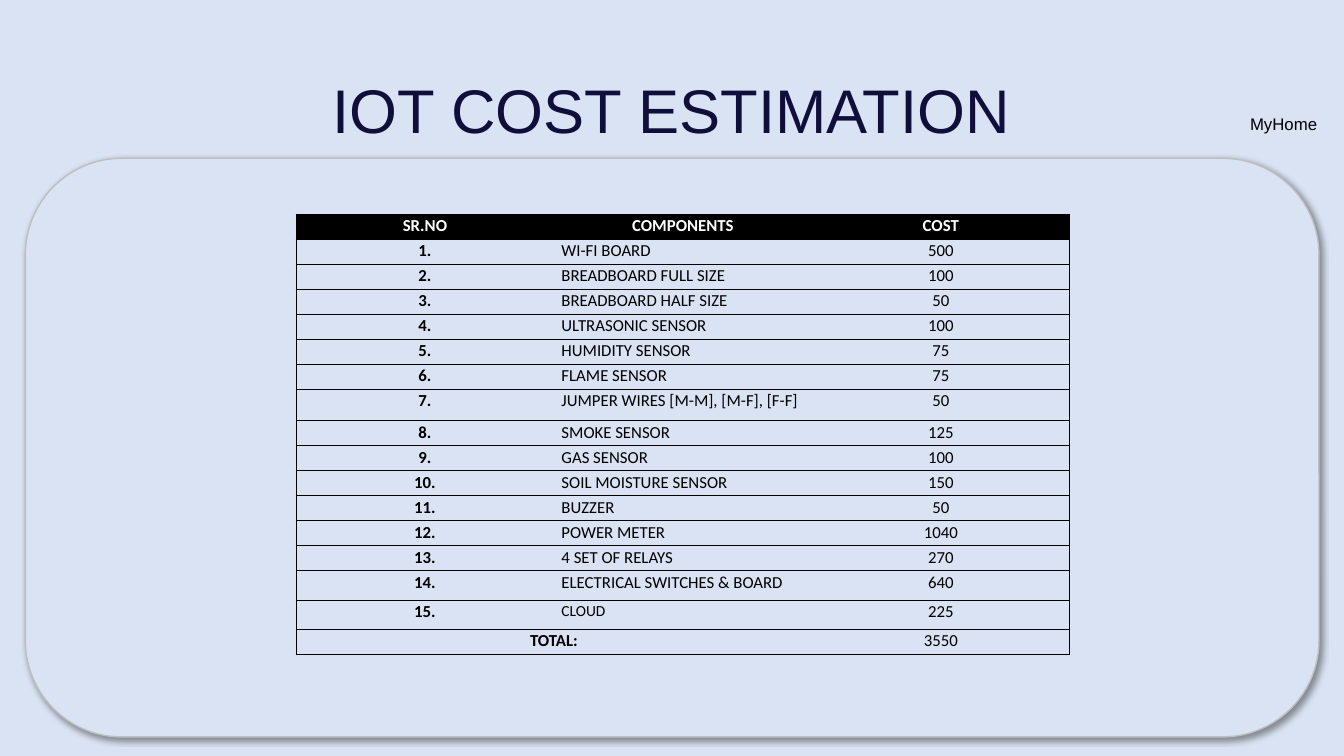
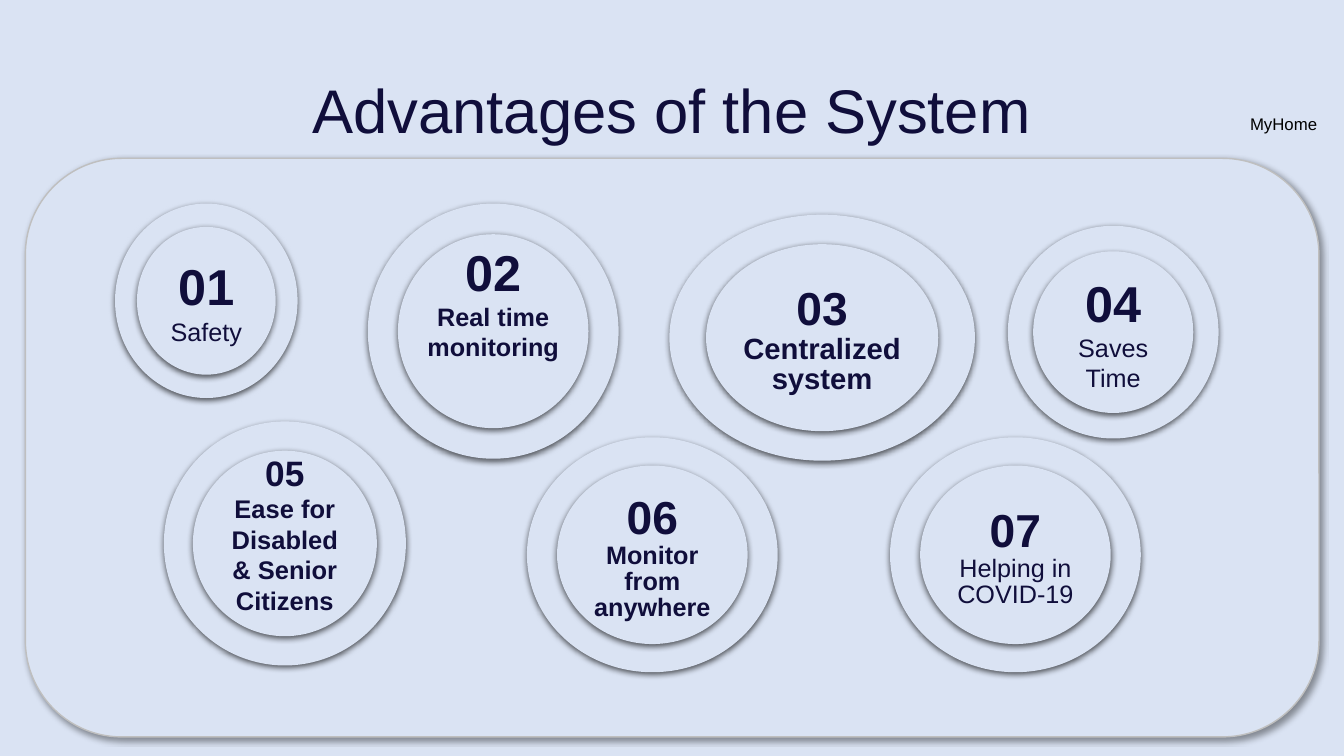
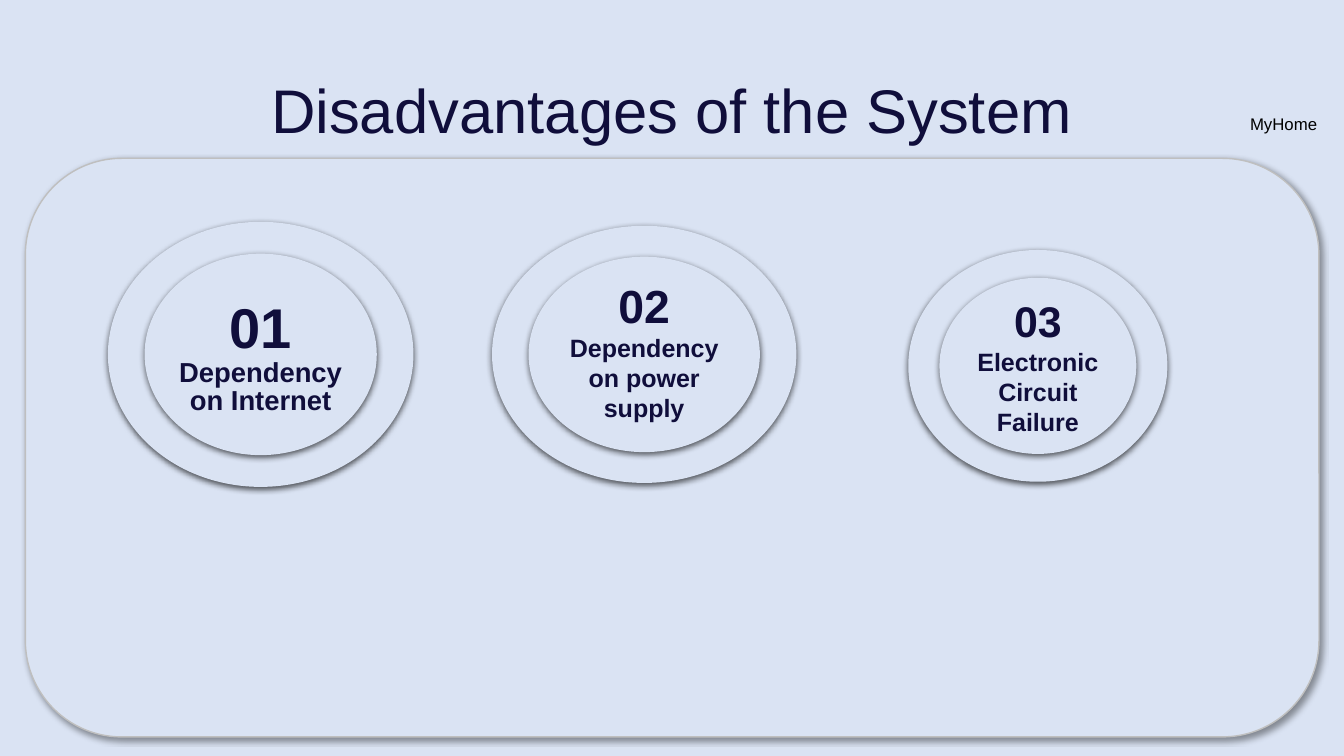
import pptx
import pptx.util
import pptx.dml.color
import pptx.enum.shapes
import pptx.enum.text
import pptx.oxml
import pptx.oxml.ns
from pptx.util import Cm

PALE = pptx.dml.color.RGBColor(0xDA, 0xE3, 0xF3)
NAVY = pptx.dml.color.RGBColor(0x10, 0x0E, 0x3B)
GREY = pptx.dml.color.RGBColor(0xBF, 0xBF, 0xBF)
BLACK = pptx.dml.color.RGBColor(0x00, 0x00, 0x00)
WHITE = pptx.dml.color.RGBColor(0xFF, 0xFF, 0xFF)
SHAPES = pptx.enum.shapes.MSO_SHAPE
ALIGN = pptx.enum.text.PP_ALIGN
MIDDLE = pptx.enum.text.MSO_ANCHOR.MIDDLE
DRAWING = pptx.oxml.ns.nsdecls("a")
RING_RATIO = 0.76


def write(frame, text, size=12, color=NAVY, bold=False, font="Arial", align=ALIGN.CENTER, spacing=None):
    paragraph = frame.add_paragraph() if frame.text else frame.paragraphs[0]
    paragraph.alignment = align
    paragraph.line_spacing = spacing
    run = paragraph.add_run()
    run.text = text
    run.font.size = pptx.util.Pt(size)
    run.font.name = font
    run.font.bold = bold
    run.font.color.rgb = color


def add_raised(slide, kind, left, top, width, height, blur=4.5, distance=1.5, angle=90, opacity=63):
    raised = slide.shapes.add_shape(kind, Cm(left), Cm(top), Cm(width), Cm(height))
    raised.fill.solid()
    raised.fill.fore_color.rgb = PALE
    raised.line.fill.background()
    raised.shadow.inherit = False
    effects = raised._element.spPr.find(pptx.oxml.ns.qn("a:effectLst"))
    effects.append(pptx.oxml.parse_xml(
        f'<a:outerShdw {DRAWING} blurRad="{pptx.util.Pt(blur)}" dist="{pptx.util.Pt(distance)}" '
        f'dir="{angle * 60000}" algn="ctr" rotWithShape="0"><a:srgbClr val="{BLACK}">'
        f'<a:alpha val="{opacity * 1000}"/></a:srgbClr></a:outerShdw>'))
    return raised


deck = pptx.Presentation()
deck.slide_width = Cm(33.87)
deck.slide_height = Cm(19.05)
deck.slide_master.background.fill.solid()
deck.slide_master.background.fill.fore_color.rgb = PALE
title_only = deck.slide_layouts[5]

slides = []
for heading in ("IOT COST ESTIMATION", "Advantages of the System", "Disadvantages of the System"):
    slide = deck.slides.add_slide(title_only)
    title = slide.shapes.title
    title.left, title.top, title.width, title.height = Cm(2.33), Cm(1.02), Cm(29.21), Cm(3.68)
    title.text_frame.vertical_anchor = MIDDLE
    write(title.text_frame, heading, size=44, spacing=0.9)
    panel = add_raised(slide, SHAPES.ROUNDED_RECTANGLE, 0.64, 3.99, 32.6, 14.58,
                       blur=4, distance=3, angle=45, opacity=40)
    panel.line.color.rgb = GREY
    panel.line.width = pptx.util.Pt(1)
    slide.shapes._spTree.insert(2, panel._element)
    project = slide.shapes.add_textbox(Cm(30.84), Cm(2.74), Cm(3.02), Cm(0.77))
    project.text_frame.word_wrap = True
    write(project.text_frame, "MyHome", color=BLACK)
    slides.append(slide)

cost_slide, advantages_slide, disadvantages_slide = slides

components = [
    ("WI-FI BOARD", 500),
    ("BREADBOARD FULL SIZE", 100),
    ("BREADBOARD HALF SIZE", 50),
    ("ULTRASONIC SENSOR", 100),
    ("HUMIDITY SENSOR", 75),
    ("FLAME SENSOR", 75),
    ("JUMPER WIRES [M-M], [M-F], [F-F]", 50),
    ("SMOKE SENSOR", 125),
    ("GAS SENSOR", 100),
    ("SOIL MOISTURE SENSOR", 150),
    ("BUZZER", 50),
    ("POWER METER", 1040),
    ("4 SET OF RELAYS", 270),
    ("ELECTRICAL SWITCHES & BOARD", 640),
    ("CLOUD", 225),
]
cost_rows = [("SR.NO", "COMPONENTS", "COST")]
cost_rows += [(f"{number}.", name, str(cost)) for number, (name, cost) in enumerate(components, 1)]
cost_rows.append(("TOTAL:", "", str(sum(cost for name, cost in components))))
tall_rows = {7: 0.8, 14: 0.74, 15: 0.74}

costs = cost_slide.shapes.add_table(len(cost_rows), 3, Cm(7.46), Cm(5.39), Cm(19.5), Cm(11.13)).table
costs.horz_banding = False
for column in costs.columns:
    column.width = Cm(6.5)
costs.cell(len(cost_rows) - 1, 0).merge(costs.cell(len(cost_rows) - 1, 1))
for row, entries in enumerate(cost_rows):
    costs.rows[row].height = Cm(tall_rows.get(row, 0.63))
    header = row == 0
    for column, entry in enumerate(entries):
        cell = costs.cell(row, column)
        cell.margin_left = cell.margin_right = Cm(0.19)
        cell.margin_top = cell.margin_bottom = 0
        for side, drawn in (("L", column == 0), ("R", column == 2), ("T", True), ("B", True)):
            paint = f'<a:solidFill><a:srgbClr val="{BLACK}"/></a:solidFill>' if drawn else "<a:noFill/>"
            cell._tc.get_or_add_tcPr().append(pptx.oxml.parse_xml(
                f'<a:ln{side} {DRAWING} w="{pptx.util.Pt(0.5)}">{paint}</a:ln{side}>'))
        if header:
            cell.fill.solid()
            cell.fill.fore_color.rgb = BLACK
        else:
            cell.fill.background()
        if entry:
            write(cell.text_frame, entry, size=11 if entry == "CLOUD" else 12, font="Calibri",
                  color=WHITE if header else BLACK, bold=header or column == 0, spacing=1.07,
                  align=ALIGN.LEFT if column == 1 and not header else ALIGN.CENTER)

advantages = [
    ("Safety", 2.9, 5.13, 4.6, 4.9, 36, 18, False, None, 0),
    ("Real time monitoring", 9.27, 5.13, 6.32, 6.43, 36, 18, True, None, 1.5),
    ("Centralized system", 16.87, 5.41, 7.7, 6.2, 33, 20.9, True, 0.86, 0),
    ("Saves Time", 25.4, 5.69, 5.31, 5.36, 36, 18, False, None, 0),
    ("Ease for Disabled & Senior Citizens", 4.13, 10.62, 6.1, 6.15, 25.2, 18.2, True, None, 0.51),
    ("Monitor from anywhere", 13.28, 11.02, 6.32, 5.92, 33, 18, True, 0.86, 0),
    ("Helping in COVID-19", 22.43, 11.02, 6.32, 5.92, 33, 18, False, 0.86, 0),
]
disadvantages = [
    ("Dependency on Internet", 2.72, 5.59, 7.7, 6.68, 40, 19.6, True, 0.86, 0),
    ("Dependency on power supply", 12.4, 5.69, 7.67, 6.48, 33.1, 17.9, True, None, 0.24),
    ("Electronic Circuit Failure", 22.89, 6.3, 6.53, 5.84, 30.6, 17.9, True, None, 0),
]
for slide, points in ((advantages_slide, advantages), (disadvantages_slide, disadvantages)):
    for number, point in enumerate(points, 1):
        text, left, top, width, height, number_size, text_size, bold, spacing, lift = point
        add_raised(slide, SHAPES.OVAL, left, top, width, height)
        inset = (1 - RING_RATIO) / 2
        disc = add_raised(slide, SHAPES.OVAL, left + width * inset, top + height * inset,
                          width * RING_RATIO, height * RING_RATIO)
        label = disc.text_frame
        label.word_wrap = True
        label.vertical_anchor = MIDDLE
        label.margin_left = label.margin_top = label.margin_right = 0
        label.margin_bottom = Cm(lift)
        write(label, f"{number:02}", size=number_size, bold=True)
        write(label, text, size=text_size, bold=bold, spacing=spacing)

deck.save("out.pptx")
